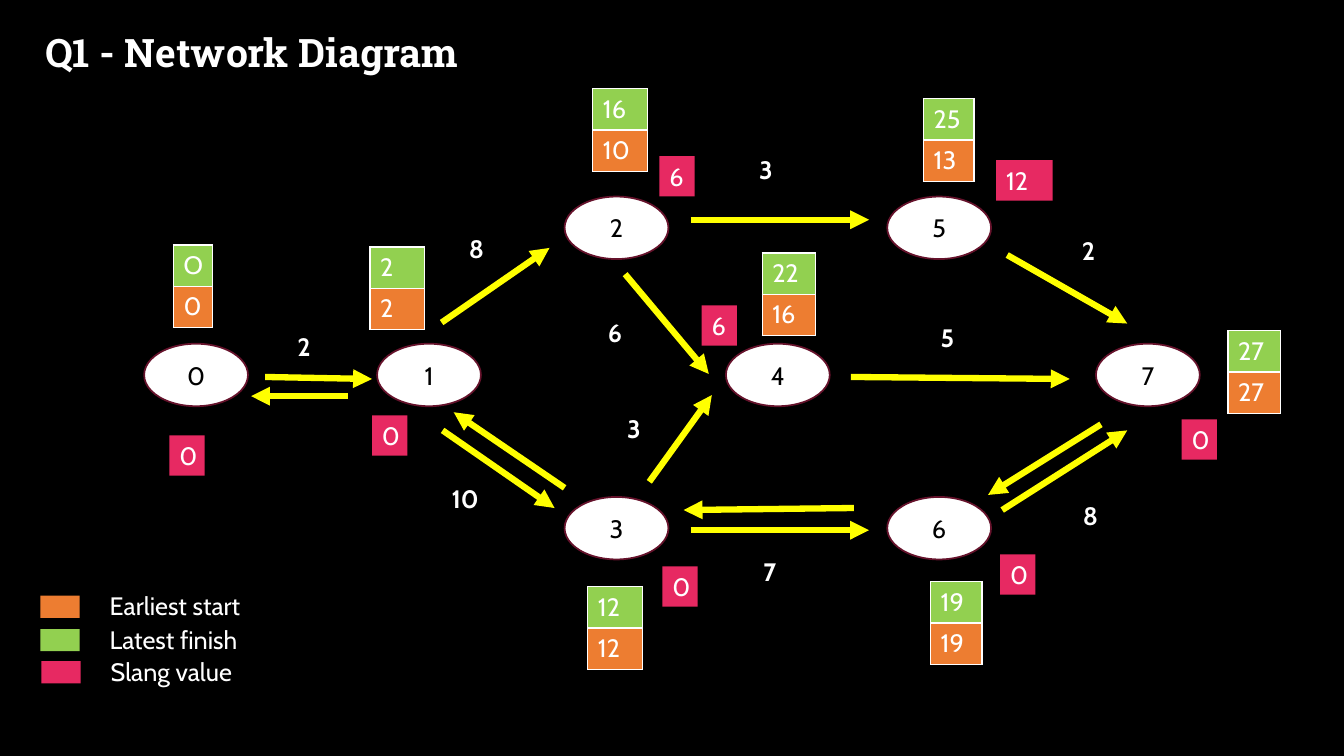
from lxml import etree
from pptx import Presentation
from pptx.dml.color import RGBColor
from pptx.enum.shapes import MSO_CONNECTOR, MSO_SHAPE
from pptx.enum.text import MSO_ANCHOR, PP_ALIGN
from pptx.oxml.ns import qn
from pptx.util import Inches, Pt

STRAIGHT = MSO_CONNECTOR.STRAIGHT
OVAL, RECTANGLE = MSO_SHAPE.OVAL, MSO_SHAPE.RECTANGLE
TOP, MIDDLE = MSO_ANCHOR.TOP, MSO_ANCHOR.MIDDLE
LEFT, CENTER = PP_ALIGN.LEFT, PP_ALIGN.CENTER

BLACK = RGBColor(0x00, 0x00, 0x00)
WHITE = RGBColor(0xFF, 0xFF, 0xFF)
MAROON = RGBColor(0x65, 0x12, 0x2B)
YELLOW = RGBColor(0xFF, 0xFF, 0x00)
GREEN = RGBColor(0x92, 0xD0, 0x50)
ORANGE = RGBColor(0xED, 0x7D, 0x31)
PINK = RGBColor(0xE7, 0x29, 0x62)

NODE_W, NODE_H = 1.03, 0.62
ROW_H = 0.41

nodes = [
    ("0", 1.43, 3.41), ("1", 3.74, 3.41), ("2", 5.6, 1.95), ("5", 8.8, 1.95),
    ("4", 7.2, 3.41), ("3", 5.6, 4.93), ("6", 8.8, 4.93), ("7", 10.87, 3.41),
]
arrows = [
    (2.63, 3.74, 3.69, 3.76), (6.2, 2.72, 7.03, 3.71), (8.44, 3.74, 10.61, 3.76),
    (9.94, 5.06, 11.18, 4.27), (9.99, 2.53, 11.18, 3.21), (4.38, 3.2, 5.45, 2.46),
    (6.85, 2.18, 8.62, 2.18), (6.85, 5.26, 8.62, 5.26), (4.39, 4.27, 5.5, 5.04),
    (3.45, 3.93, 2.49, 3.93), (5.6, 4.84, 4.5, 4.09), (8.47, 5.04, 6.78, 5.06),
    (10.92, 4.21, 9.8, 4.91), (6.44, 4.78, 7.06, 3.92),
]
times = [
    ("12", "12", 5.83, 5.82, 0.54), ("27", "27", 12.18, 3.28, 0.52),
    ("22", "16", 7.56, 2.51, 0.53), ("25", "13", 9.16, 0.98, 0.5),
    ("16", "10", 5.88, 0.88, 0.54), ("2", "2", 3.67, 2.45, 0.54),
    ("O", "0", 1.72, 2.43, 0.39), ("19", "19", 9.23, 5.77, 0.51),
]
durations = [
    ("2", 2.85, 3.24, 0.42), ("7", 7.47, 5.48, 0.42), ("5", 9.23, 3.16, 0.42),
    ("3", 7.43, 1.49, 0.42), ("8", 4.55, 2.27, 0.42), ("10", 4.38, 4.75, 0.62),
    ("6", 5.93, 3.11, 0.42), ("8", 10.64, 4.92, 0.42), ("2", 10.63, 2.29, 0.42),
    ("3", 6.12, 4.06, 0.42),
]
slacks = [
    ("0", 1.68, 4.32, 0.35), ("0", 3.69, 4.12, 0.35), ("0", 6.57, 5.62, 0.35),
    ("0", 9.92, 5.5, 0.35), ("0", 11.72, 4.16, 0.35), ("12", 9.88, 1.59, 0.56),
    ("6", 6.96, 3.03, 0.35), ("6", 6.54, 1.55, 0.35),
]
legend = [
    ("Earliest start", ORANGE, 0.4, 5.91),
    ("Latest finish", GREEN, 0.4, 6.24),
    ("Slang value", PINK, 0.41, 6.56),
]
tables = [
    (x, y, width, ROW_H, [(latest, GREEN), (earliest, ORANGE)], WHITE, False)
    for latest, earliest, x, y, width in times
] + [
    (x, y, width, 0.4, [(duration, None)], BLACK, True)
    for duration, x, y, width in durations
]


def write(frame, text, color=WHITE, size=18, font="Cabin", bold=False, align=LEFT):
    paragraph = frame.paragraphs[0]
    paragraph.alignment = align
    run = paragraph.add_run()
    run.text = text
    run.font.name = font
    run.font.size = Pt(size)
    run.font.bold = bold
    run.font.color.rgb = color


def add_block(kind, x, y, width, height, fill, outline=None):
    block = slide.shapes.add_shape(kind, Inches(x), Inches(y), Inches(width), Inches(height))
    block.shadow.inherit = False
    block.fill.solid()
    block.fill.fore_color.rgb = fill
    if outline is None:
        block.line.fill.background()
    else:
        block.line.color.rgb = outline
        block.line.width = Pt(1.25)
    return block


deck = Presentation()
deck.slide_width = Inches(13.33)
deck.slide_height = Inches(7.5)
slide = deck.slides.add_slide(deck.slide_layouts[6])
slide.background.fill.solid()
slide.background.fill.fore_color.rgb = BLACK

for name, x, y in nodes:
    node = add_block(OVAL, x, y, NODE_W, NODE_H, WHITE, MAROON)
    node.text_frame.vertical_anchor = MIDDLE
    write(node.text_frame, name, BLACK, align=CENTER)

for x, y, width, row_height, rows, border, bold in tables:
    grid = slide.shapes.add_table(
        len(rows), 1, Inches(x), Inches(y), Inches(width), Inches(row_height * len(rows))
    ).table
    grid.first_row = False
    grid.horz_banding = False
    for index, (value, fill) in enumerate(rows):
        cell = grid.cell(index, 0)
        properties = cell._tc.get_or_add_tcPr()
        for side in ("a:lnL", "a:lnR", "a:lnT", "a:lnB"):
            edge = etree.SubElement(properties, qn(side), w=str(Pt(1)))
            paint = etree.SubElement(edge, qn("a:solidFill"))
            etree.SubElement(paint, qn("a:srgbClr"), val=str(border))
        if fill is None:
            cell.fill.background()
        else:
            cell.fill.solid()
            cell.fill.fore_color.rgb = fill
        write(cell.text_frame, value, bold=bold)

for x1, y1, x2, y2 in arrows:
    arrow = slide.shapes.add_connector(STRAIGHT, Inches(x1), Inches(y1), Inches(x2), Inches(y2))
    arrow.line.color.rgb = YELLOW
    arrow.line.width = Pt(4.5)
    etree.SubElement(arrow.line._get_or_add_ln(), qn("a:tailEnd"), type="triangle")
    etree.SubElement(arrow._element.spPr, qn("a:effectLst"))

title = slide.shapes.add_textbox(Inches(0.35), Inches(0.23), Inches(5.58), Inches(0.57))
title.text_frame.word_wrap = True
write(title.text_frame, "Q1 - Network Diagram", size=28, font="Roboto Slab", bold=True)

for meaning, color, x, y in legend:
    add_block(RECTANGLE, x, y, 0.39, 0.22, color)
    label = slide.shapes.add_textbox(Inches(x + 0.59), Inches(y - 0.1), Inches(2.93), Inches(0.4))
    label.text_frame.word_wrap = True
    write(label.text_frame, meaning)

for value, x, y, width in slacks:
    slack = add_block(RECTANGLE, x, y, width, 0.4, PINK)
    slack.text_frame.word_wrap = True
    slack.text_frame.vertical_anchor = TOP
    write(slack.text_frame, value)

deck.save("out.pptx")
